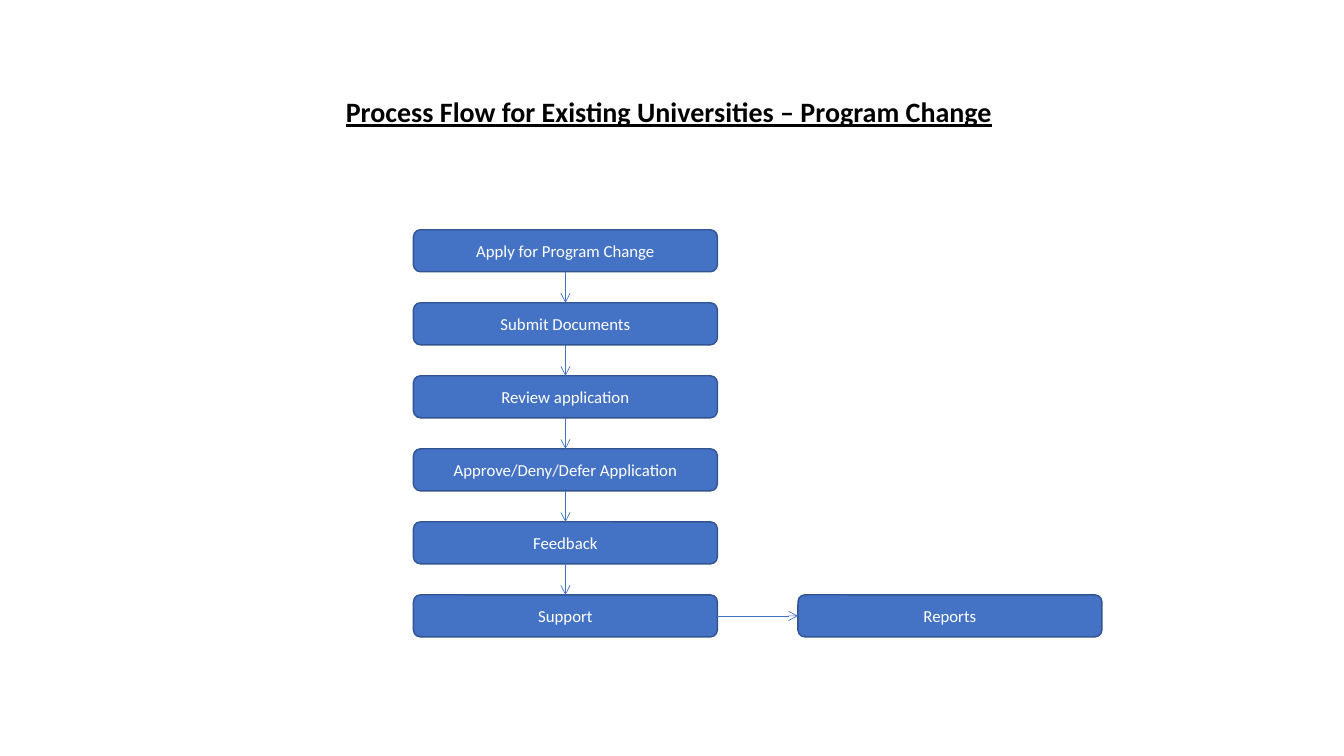
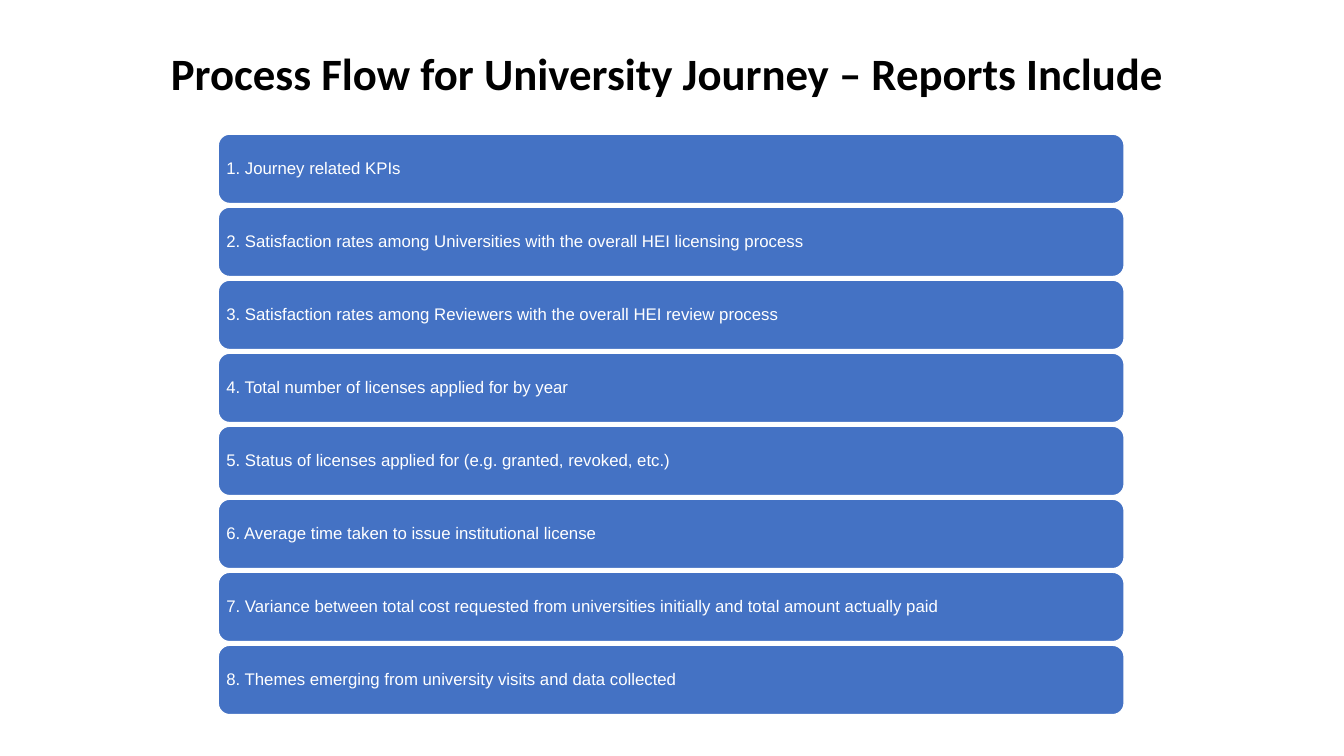
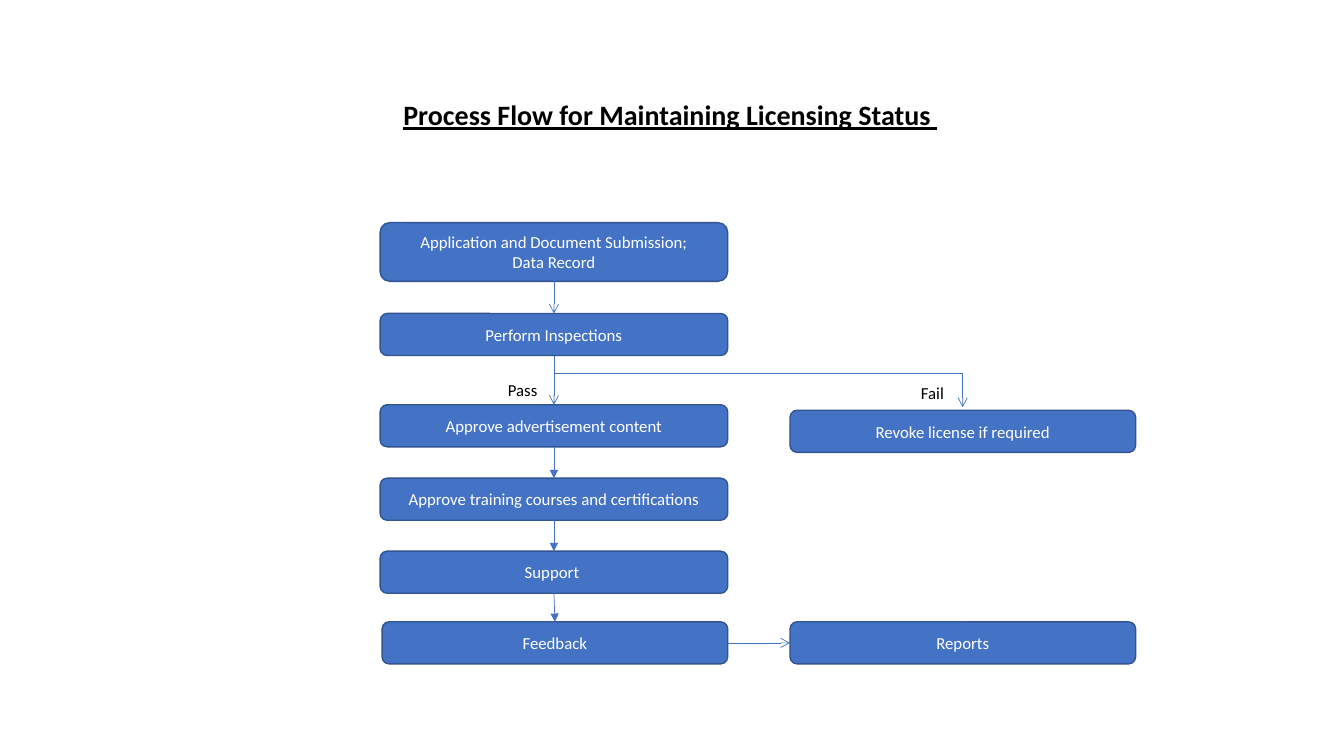
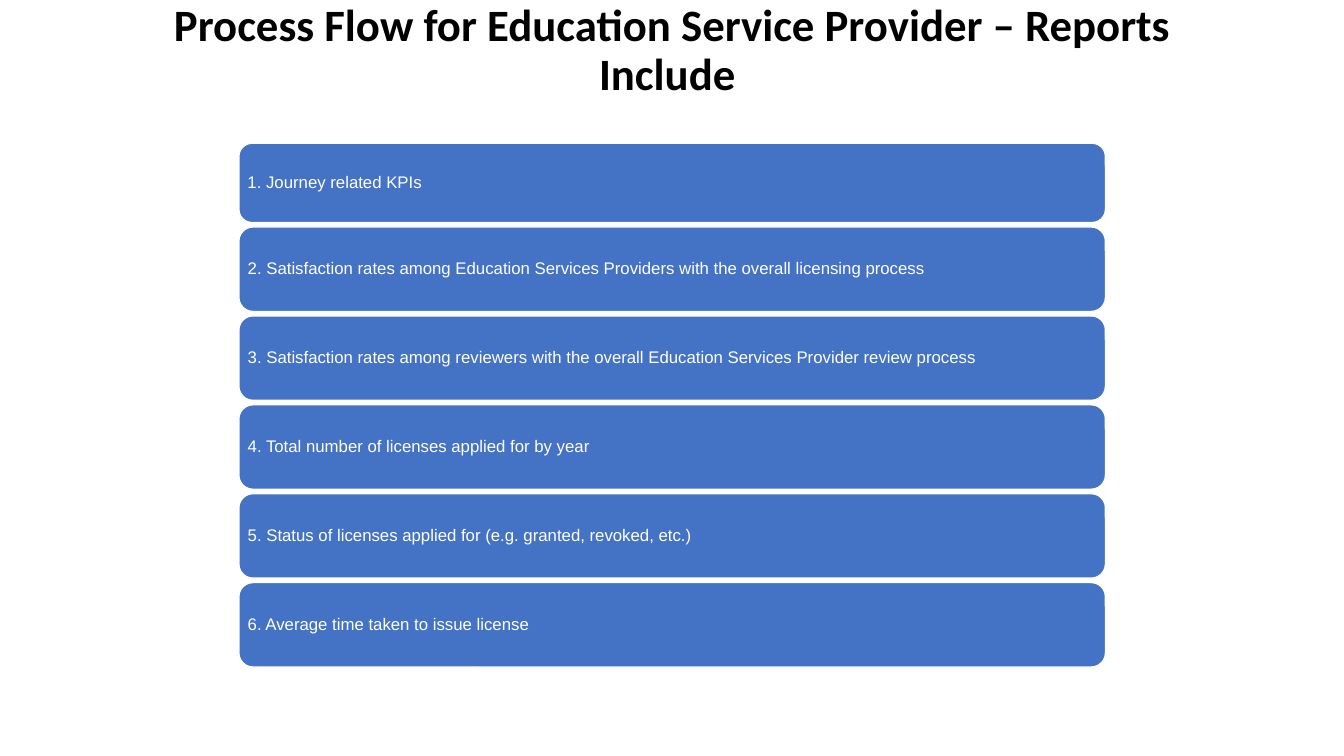
from dataclasses import dataclass

from lxml.etree import SubElement
from pptx import Presentation
from pptx.dml.color import RGBColor
from pptx.enum.shapes import MSO_CONNECTOR, MSO_SHAPE
from pptx.enum.text import MSO_ANCHOR, MSO_AUTO_SIZE, PP_ALIGN
from pptx.oxml.ns import qn
from pptx.util import Cm, Pt


@dataclass(frozen=True)
class Theme:
    blue: RGBColor = RGBColor.from_string("4472C4")
    edge: RGBColor = RGBColor.from_string("325491")
    white: RGBColor = RGBColor.from_string("FFFFFF")
    black: RGBColor = RGBColor.from_string("000000")
    heading: str = "Calibri"
    body: str = "Arial"
    report_title: Pt = Pt(32)
    flow_title: Pt = Pt(20)
    text: Pt = Pt(12)
    box_line: Pt = Pt(1)
    arrow_line: Pt = Pt(0.5)


T = Theme()
TOP, LEFT, BOTTOM, RIGHT = range(4)


def add_box(s, text, x, y, w, h, edge=T.edge, font=T.heading, align=PP_ALIGN.CENTER):
    sp = s.shapes.add_shape(MSO_SHAPE.ROUNDED_RECTANGLE, Cm(x), Cm(y), Cm(w), Cm(h))
    sp.shadow.inherit = False
    sp.fill.solid()
    sp.fill.fore_color.rgb = T.blue
    sp.line.color.rgb = edge
    sp.line.width = T.box_line
    tf = sp.text_frame
    tf.text = text
    tf.word_wrap = True
    tf.vertical_anchor = MSO_ANCHOR.MIDDLE
    for p in tf.paragraphs:
        p.alignment = align
        p.font.name = font
        p.font.size = T.text
        p.font.color.rgb = T.white
    return sp


def add_line(s, x1=0, y1=0, x2=0, y2=0, head=None):
    c = s.shapes.add_connector(MSO_CONNECTOR.STRAIGHT, Cm(x1), Cm(y1), Cm(x2), Cm(y2))
    c.line.color.rgb = T.blue
    c.line.width = T.arrow_line
    pr = c._element.spPr
    if head:
        SubElement(pr.find(qn("a:ln")), qn("a:tailEnd"), type=head)
    SubElement(pr, qn("a:effectLst"))
    return c


prs = Presentation()
prs.slide_width = Cm(33.87)
prs.slide_height = Cm(19.05)

titles = [
    ("Process Flow for Existing Universities – Program Change", True, (8.46, 2.26, 17.2, 1.12)),
    ("Process Flow for University Journey – Reports Include ", False, (2.34, 0, 29.21, 2.64)),
    ("Process Flow for Maintaining Licensing Status ", True, (9.91, 2.34, 14.5, 1.12)),
    ("Process Flow for Education Service Provider – Reports Include ", False, (2.34, 0, 29.21, 2.64)),
]
for text, is_flow, place in titles:
    s = prs.slides.add_slide(prs.slide_layouts[5])
    title = s.shapes.title
    title.left, title.top, title.width, title.height = map(Cm, place)
    tf = title.text_frame
    tf.text = text
    tf.word_wrap = True
    tf.auto_size = MSO_AUTO_SIZE.NONE
    tf.vertical_anchor = MSO_ANCHOR.TOP if is_flow else MSO_ANCHOR.BOTTOM
    p = tf.paragraphs[0]
    p.alignment = PP_ALIGN.LEFT if is_flow else PP_ALIGN.CENTER
    p.line_spacing = 1.0 if is_flow else 0.9
    p.font.name = T.heading
    p.font.size = T.flow_title if is_flow else T.report_title
    p.font.bold = True
    p.font.underline = is_flow
    p.font.color.rgb = T.black

change, journey, licensing, provider = prs.slides
box_h = 1.06

change_steps = [
    "Apply for Program Change",
    "Submit Documents",
    "Review application",
    "Approve/Deny/Defer Application",
    "Feedback",
    "Support",
]
change_boxes = [
    add_box(change, text, 10.42, 5.79 + 1.84 * i, 7.66, box_h)
    for i, text in enumerate(change_steps)
]
change_reports = add_box(change, "Reports", 20.11, 14.99, 7.66, box_h)

licensing_steps = [
    ("Application and Document Submission;\nData Record", 9.58, 5.61, 8.76, 1.48),
    ("Perform Inspections", 9.58, 7.9, 8.76, box_h),
    ("Approve advertisement content", 9.58, 10.2, 8.76, box_h),
    ("Approve training courses and certifications", 9.58, 12.05, 8.76, box_h),
    ("Support ", 9.58, 13.89, 8.76, box_h),
    ("Feedback", 9.63, 15.67, 8.71, box_h),
]
licensing_boxes = [add_box(licensing, *step) for step in licensing_steps]
licensing_reports = add_box(licensing, "Reports", 19.91, 15.67, 8.71, box_h)
add_box(licensing, "Revoke license if required", 19.91, 10.34, 8.71, box_h)

flows = [
    (change, change_boxes, change_reports, ["arrow"] * 5),
    (licensing, licensing_boxes, licensing_reports, ["arrow"] * 2 + ["triangle"] * 3),
]
for s, boxes, reports, heads in flows:
    for upper, lower, head in zip(boxes, boxes[1:], heads):
        c = add_line(s, head=head)
        c.begin_connect(upper, BOTTOM)
        c.end_connect(lower, TOP)
    c = add_line(s, head="arrow")
    c.begin_connect(boxes[-1], RIGHT)
    c.end_connect(reports, LEFT)

add_line(licensing, 13.96, 9.42, 24.26, 9.42)
add_line(licensing, 24.26, 9.42, 24.26, 10.26, "arrow")
for text, x, y in [("Pass", 12.55, 9.45), ("Fail", 22.96, 9.52)]:
    label = licensing.shapes.add_textbox(Cm(x), Cm(y), Cm(1.6), Cm(0.76))
    tf = label.text_frame
    tf.text = text
    tf.word_wrap = True
    p = tf.paragraphs[0]
    p.font.name = T.heading
    p.font.size = T.text
    p.font.color.rgb = T.black

journey_reports = [
    "Journey related KPIs",
    "Satisfaction rates among Universities with the overall HEI licensing process",
    "Satisfaction rates among Reviewers with the overall HEI review process",
    "Total number of licenses applied for by year",
    "Status of licenses applied for (e.g. granted, revoked, etc.)",
    "Average time taken to issue institutional license",
    "Variance between total cost requested from universities initially and total amount actually paid",
    "Themes emerging from university visits and data collected",
]
provider_reports = [
    "Journey related KPIs",
    "Satisfaction rates among Education Services Providers with the overall licensing process",
    "Satisfaction rates among reviewers with the overall Education Services Provider review process",
    "Total number of licenses applied for by year",
    "Status of licenses applied for (e.g. granted, revoked, etc.)",
    "Average time taken to issue license",
]
report_lists = [
    (journey, journey_reports, 5.5, 3.38, 22.83, [1.75] * 8, 0.09),
    (provider, provider_reports, 6.02, 3.61, 21.84, [2.0] + [2.13] * 5, 0.11),
]
for s, reports, x, y, w, heights, gap in report_lists:
    for number, (text, h) in enumerate(zip(reports, heights), 1):
        bar = add_box(s, f"{number}. {text}", x, y, w, h, T.white, T.body, PP_ALIGN.LEFT)
        tf = bar.text_frame
        tf.margin_left = tf.margin_right = Cm(0.12)
        tf.margin_top = tf.margin_bottom = Cm(0.08)
        tf.paragraphs[0].line_spacing = 0.9
        y += h + gap

prs.save("out.pptx")
